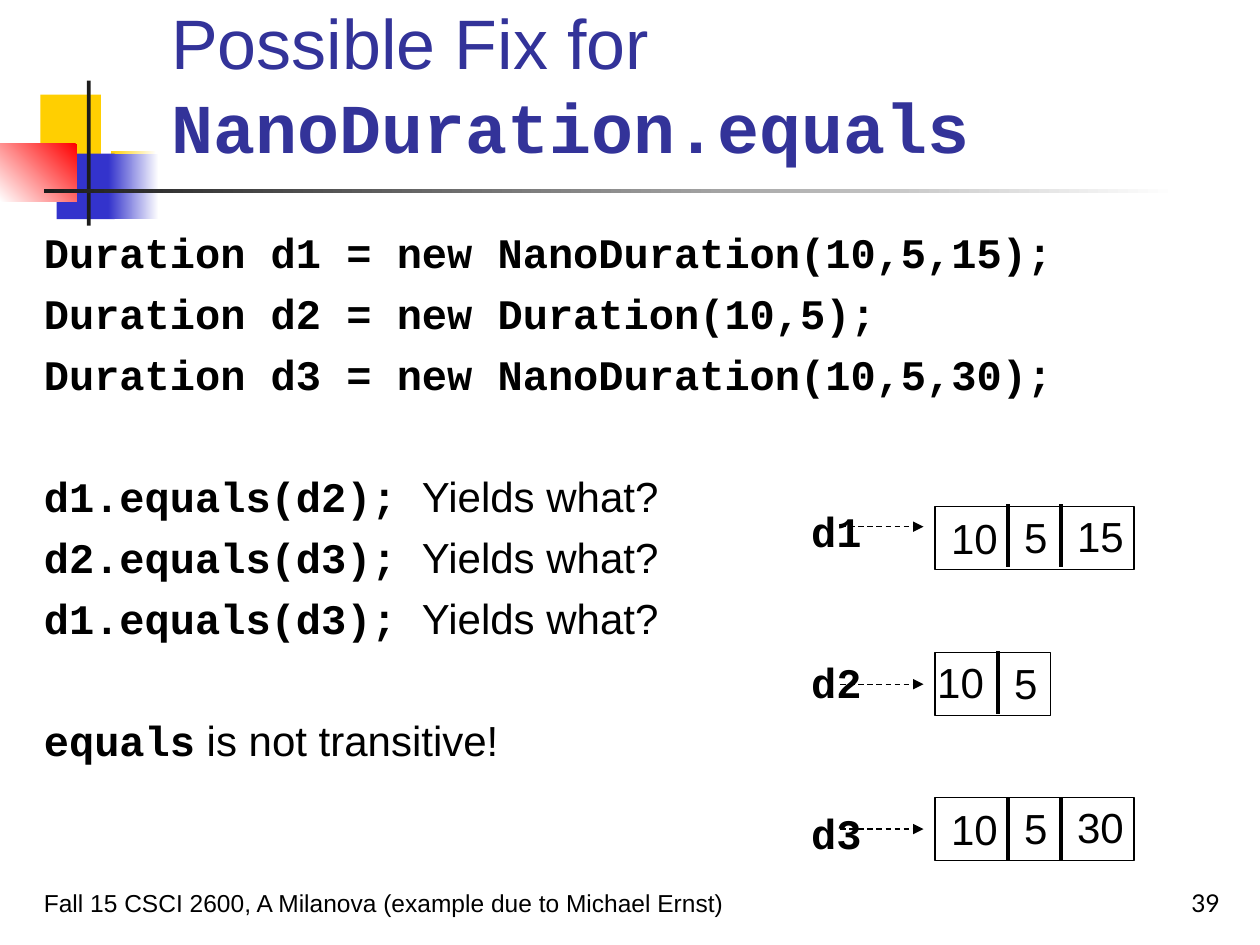
from lxml.etree import SubElement
from pptx import Presentation
from pptx.dml.color import RGBColor
from pptx.enum.dml import MSO_LINE_DASH_STYLE as Dash
from pptx.enum.shapes import MSO_CONNECTOR as Connector, MSO_SHAPE as Shape
from pptx.enum.text import MSO_ANCHOR as Anchor, PP_ALIGN as Align
from pptx.oxml.ns import qn
from pptx.util import Inches, Pt

BLACK = RGBColor(0x00, 0x00, 0x00)
WHITE = RGBColor(0xFF, 0xFF, 0xFF)
CHARCOAL = RGBColor(0x1C, 0x1C, 0x1C)
YELLOW = RGBColor(0xFF, 0xCF, 0x01)
BLUE = RGBColor(0x33, 0x33, 0xCC)
RED = RGBColor(0xFF, 0x00, 0x00)
TITLE_BLUE = RGBColor(0x33, 0x33, 0x99)
SANS, CODE, NUMBER = "Arial", "Courier New", "Lato"


class SlideBuilder:
    """Holds the page and draws each kind of element on it."""

    line_factor = 1.2

    def __init__(self, page):
        self.page = page

    def rectangle(self, left, top, width, height):
        shape = self.page.shapes.add_shape(
            Shape.RECTANGLE, Inches(left), Inches(top), Inches(width), Inches(height))
        shape.shadow.inherit = False
        return shape

    def block(self, area, color):
        shape = self.rectangle(*area)
        shape.fill.solid()
        shape.fill.fore_color.rgb = color
        shape.line.fill.background()

    def fade(self, area, start, end, angle=180):
        shape = self.rectangle(*area)
        shape.fill.gradient()
        shape.fill.gradient_angle = angle
        for stop, color in zip(shape.fill.gradient_stops, (start, end)):
            stop.color.rgb = color
        shape.line.fill.background()

    def frame(self, *area):
        shape = self.rectangle(*area)
        shape.fill.background()
        shape.line.color.rgb = BLACK
        shape.line.width = Pt(0.75)

    def line(self, x1, y1, x2, y2, width=2):
        line = self.page.shapes.add_connector(
            Connector.STRAIGHT, Inches(x1), Inches(y1), Inches(x2), Inches(y2))
        line.line.color.rgb = BLACK
        line.line.width = Pt(width)
        SubElement(line._element.spPr, qn("a:effectLst"))
        return line

    def arrow(self, x1, x2, y):
        stroke = self.line(x1, y, x2, y, 0.75).line
        stroke.dash_style = Dash.DASH
        SubElement(stroke._get_or_add_ln(), qn("a:tailEnd"), type="triangle")

    def text(self, area, paragraphs, size=24, color=BLACK, anchor=Anchor.TOP,
             align=Align.LEFT, wrap=True, top=0.05, bottom=0.05):
        """Each paragraph is (space before, [(text, font), ...]); code is bold."""
        left, y, width, height = map(Inches, area)
        frame = self.page.shapes.add_textbox(left, y, width, height).text_frame
        frame.word_wrap = wrap
        frame.vertical_anchor = anchor
        frame.margin_top, frame.margin_bottom = Inches(top), Inches(bottom)
        for index, (before, spans) in enumerate(paragraphs):
            para = frame.paragraphs[0] if index == 0 else frame.add_paragraph()
            para.alignment = align
            para.space_before = Pt(before)
            para.line_spacing = Pt(size * self.line_factor)
            para.font.size = Pt(size)
            para.font.color.rgb = color
            same_font = len({font for _, font in spans}) == 1
            for words, font in spans:
                span = para.add_run()
                span.text = words
                target = para.font if same_font else span.font
                target.name = font
                target.bold = font == CODE

    def record(self, top, width, cells, dividers, arrow_y):
        """A framed row of field values with dividers and a pointer to it."""
        self.frame(7.42, top, width, 0.5)
        for value, left, y in cells:
            self.text((left, y, 0.19 + 0.19 * len(value), 0.5),
                      [(0, [(value, SANS)])], wrap=False)
        for x, y in dividers:
            self.line(x, y, x, y + 0.5)
        self.arrow(6.67, 7.33, arrow_y)


def main():
    deck = Presentation()
    deck.slide_width, deck.slide_height = Inches(10), Inches(7.5)
    builder = SlideBuilder(deck.slides.add_slide(deck.slide_layouts[6]))

    # Corner decoration and title rule
    builder.block((0.32, 0.75, 0.48, 0.52), YELLOW)
    builder.fade((0.88, 1.2, 0.36, 0.52), WHITE, YELLOW)
    builder.block((0.45, 1.22, 0.46, 0.52), BLUE)
    builder.fade((0.86, 1.22, 0.4, 0.52), WHITE, BLUE)
    builder.fade((0, 1.14, 0.61, 0.46), RED, WHITE, angle=225)
    builder.block((0.69, 0.64, 0.03, 1.15), CHARCOAL)
    builder.fade((0.35, 1.5, 9, 0.03), WHITE, CHARCOAL)

    # Title
    builder.text((1.26, 0.23, 8.52, 1.1),
                 [(0, [("Possible Fix for ", SANS), ("NanoDuration.equals", CODE)])],
                 size=40, color=TITLE_BLUE, anchor=Anchor.BOTTOM, bottom=0)

    # Code and questions; each later group starts one line lower
    gap, group_gap = 6, 40.8
    declarations = ["d1 = new NanoDuration(10,5,15);", "d2 = new Duration(10,5);",
                    "d3 = new NanoDuration(10,5,30);"]
    calls = ["d1.equals(d2); ", "d2.equals(d3); ", "d1.equals(d3); "]
    body = [(gap, [("Duration " + code, CODE)]) for code in declarations]
    body += [(gap if index else group_gap, [(call, CODE), ("Yields what?", SANS)])
             for index, call in enumerate(calls)]
    body.append((group_gap, [("equals", CODE), (" is not transitive!", SANS)]))
    builder.text((0.25, 1.71, 9.54, 4.96), body, top=0.09)

    # Object diagram
    builder.text((6.34, 3.92, 0.6, 2.9),
                 [(57.6 if index else 0, [(name, CODE)])
                  for index, name in enumerate(["d1", "d2", "d3"])],
                 wrap=False, top=0.09)
    builder.record(4.02, 1.58, [("10", 7.45, 4.02), ("5", 8.03, 4.01), ("15", 8.45, 4)],
                   [(8, 4), (8.42, 4)], 4.18)
    builder.record(5.18, 0.92, [("10", 7.34, 5.16), ("5", 7.95, 5.17)],
                   [(7.92, 5.17)], 5.43)
    builder.record(6.33, 1.58, [("10", 7.45, 6.33), ("5", 8.03, 6.32), ("30", 8.45, 6.31)],
                   [(8, 6.33), (8.42, 6.33)], 6.58)

    # Footer and page number
    credit = "Fall 15 CSCI 2600, A Milanova (example due to Michael Ernst)"
    builder.text((0.25, 6.83, 6.17, 0.5), [(0, [(credit, SANS)])],
                 size=14, anchor=Anchor.BOTTOM)
    builder.text((7.7, 6.83, 2.08, 0.5), [(0, [("39", NUMBER)])],
                 size=14, anchor=Anchor.BOTTOM, align=Align.RIGHT)

    deck.save("out.pptx")


if __name__ == "__main__":
    main()
